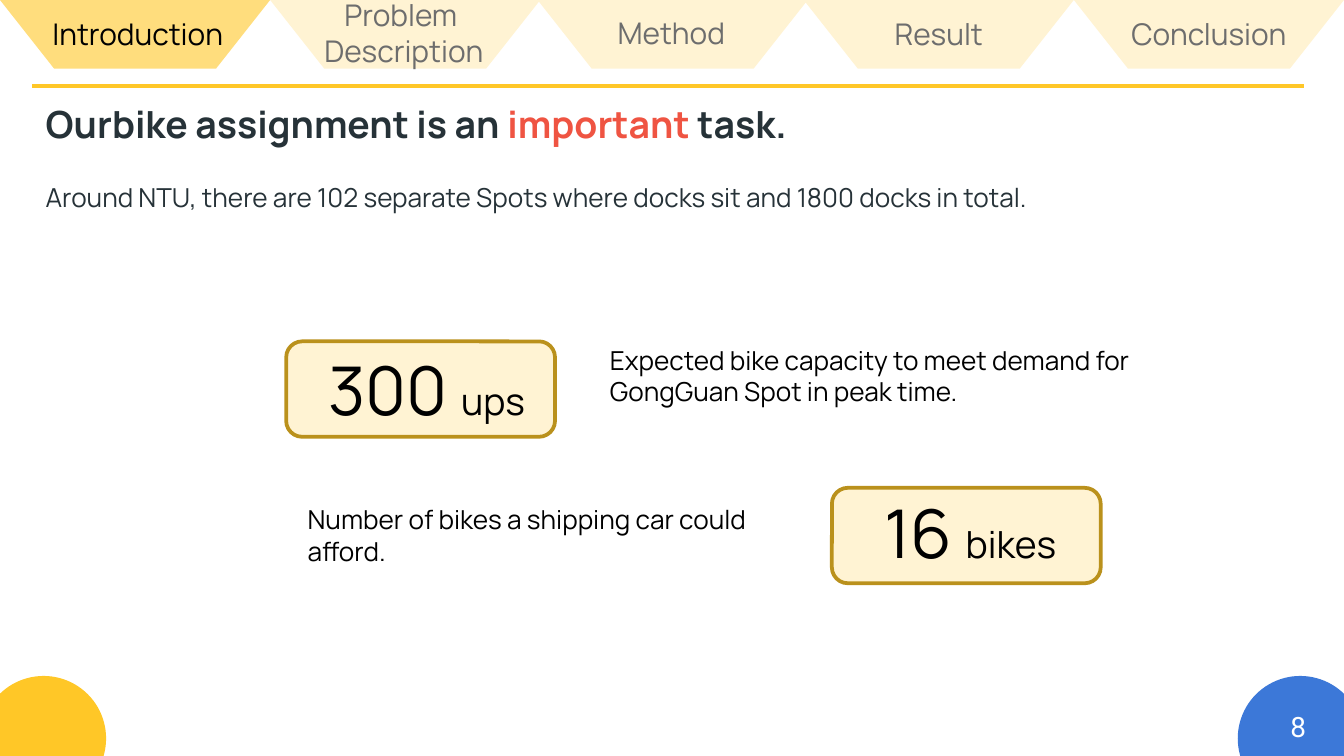
from pptx import Presentation
from pptx.dml.color import RGBColor
from pptx.enum.shapes import MSO_CONNECTOR, MSO_SHAPE as SHAPE
from pptx.enum.text import MSO_ANCHOR, MSO_AUTO_SIZE, PP_ALIGN as ALIGN
from pptx.oxml.ns import qn
from pptx.util import Inches, Pt

FONT = "Manrope"
BLACK, GREY, DARK, RED, WHITE = "000000", "6D6D6D", "263238", "EF5442", "FFFFFF"
YELLOW, BLUE, ACTIVE, CREAM, BROWN = "FFC727", "3C78D8", "FFDD7D", "FFF3D3", "BA911C"
TABS = [
    (0, 0.15, 0.07, ["Introduction"]),
    (2.01, 2.13, -0.07, ["Problem ", "Description"]),
    (4, 4.12, 0.06, ["Method"]),
    (5.98, 6.11, 0.07, ["Result"]),
    (7.99, 8.12, 0.07, ["Conclusion"]),
]


def rgb(color):
    """Return the colour of a hex string."""
    return RGBColor.from_string(color)


def place(sp, left, top, width, height):
    """Set position and size in inches."""
    sp.left, sp.top = Inches(left), Inches(top)
    sp.width, sp.height = Inches(width), Inches(height)


def add_shape(s, kind, box, fill, line=None):
    """Add a flat preset shape, outlined if a line colour is given."""
    sp = s.shapes.add_shape(kind, *map(Inches, box))
    sp.shadow.inherit = False
    sp.fill.solid()
    sp.fill.fore_color.rgb = rgb(fill)
    if line:
        sp.line.color.rgb = rgb(line)
        sp.line.width = Pt(2)
    else:
        sp.line.fill.background()


def add_rule(s, left, right, y):
    """Add the yellow rule below the tabs."""
    line = s.shapes.add_connector(
        MSO_CONNECTOR.STRAIGHT, Inches(left), Inches(y), Inches(right), Inches(y))
    line.line.color.rgb = rgb(YELLOW)
    line.line.width = Pt(2.25)
    pr = line._element.spPr
    pr.append(pr.makeelement(qn("a:effectLst"), {}))


def style(p, size, color, align=ALIGN.LEFT, font=FONT):
    """Format a paragraph."""
    p.alignment = align
    p.font.size, p.font.name = Pt(size), font
    p.font.color.rgb = rgb(color)


def add_text(s, box, lines, size, color, align=ALIGN.LEFT, font=FONT):
    """Add a wrapped text box with one paragraph per line."""
    tf = s.shapes.add_textbox(*map(Inches, box)).text_frame
    tf.word_wrap = True
    for i, line in enumerate(lines):
        p = tf.add_paragraph() if i else tf.paragraphs[0]
        p.text = line
        style(p, size, color, align, font)
    return tf


def add_title(s, parts):
    """Fill the title placeholder with (text, colour) runs."""
    sp = s.shapes.title
    place(sp, 0.24, 0.7, 6.41, 0.44)
    tf = sp.text_frame
    tf.auto_size, tf.vertical_anchor = MSO_AUTO_SIZE.NONE, MSO_ANCHOR.TOP
    p = tf.paragraphs[0]
    style(p, 20, DARK)
    p.font.bold = True
    for text, color in parts:
        r = p.add_run()
        r.text = text
        r.font.color.rgb = rgb(color)


def add_tabs(s, active):
    """Add the navigation tabs with the active one highlighted."""
    for i, (left, text_left, text_top, lines) in enumerate(TABS):
        fill, color = (ACTIVE, BLACK) if i == active else (CREAM, GREY)
        add_shape(s, SHAPE.FLOWCHART_MANUAL_OPERATION, (left, 0, 2.01, 0.51), fill)
        add_text(s, (text_left, text_top, 1.75, 0.1 + 0.27 * len(lines)), lines, 16,
                 color, ALIGN.CENTER)


def add_figure(s, card, label, number, unit):
    """Add a rounded card with a large number and its unit."""
    add_shape(s, SHAPE.ROUNDED_RECTANGLE, card, CREAM, BROWN)
    p = add_text(s, label, [number], 36, BLACK, ALIGN.CENTER).paragraphs[0]
    r = p.add_run()
    r.text = unit
    r.font.size = Pt(20)


def main():
    """Build the slide."""
    prs = Presentation()
    prs.slide_width, prs.slide_height = Inches(10), Inches(10 * 9 / 16)
    s = prs.slides.add_slide(prs.slide_layouts[5])
    for left, color in ((9.21, BLUE), (-0.14, YELLOW)):
        add_shape(s, SHAPE.OVAL, (left, 5.03, 0.93, 0.93), color)
    add_rule(s, 0.24, 9.7, 0.64)
    add_tabs(s, 0)
    add_title(s, [("Ourbike assignment is an ", DARK), ("important", RED), (" task.", DARK)])
    add_text(s, (0.24, 1.3, 8.75, 0.34),
             ["Around NTU, there are 102 separate Spots where docks sit and 1800 docks in total."],
             14, DARK)
    add_figure(s, (2.13, 2.54, 2, 0.71), (1.75, 2.54, 2.85, 0.71), "300 ", "ups")
    add_figure(s, (6.19, 3.63, 2, 0.71), (5.98, 3.61, 2.48, 0.71), "16 ", "bikes")
    add_text(s, (4.44, 2.51, 4.67, 0.57),
             ["Expected bike capacity to meet demand for GongGuan Spot in peak time."], 14, BLACK)
    add_text(s, (2.19, 3.7, 3.82, 0.57),
             ["Number of bikes a shipping car could afford."], 14, BLACK)
    number = add_text(s, (9.36, 5.19, 0.6, 0.43), ["8"], 15, WHITE, ALIGN.CENTER, "Roboto")
    number.vertical_anchor = MSO_ANCHOR.MIDDLE
    number.margin_top = number.margin_bottom = Inches(0.1)
    prs.save("out.pptx")


if __name__ == "__main__":
    main()
